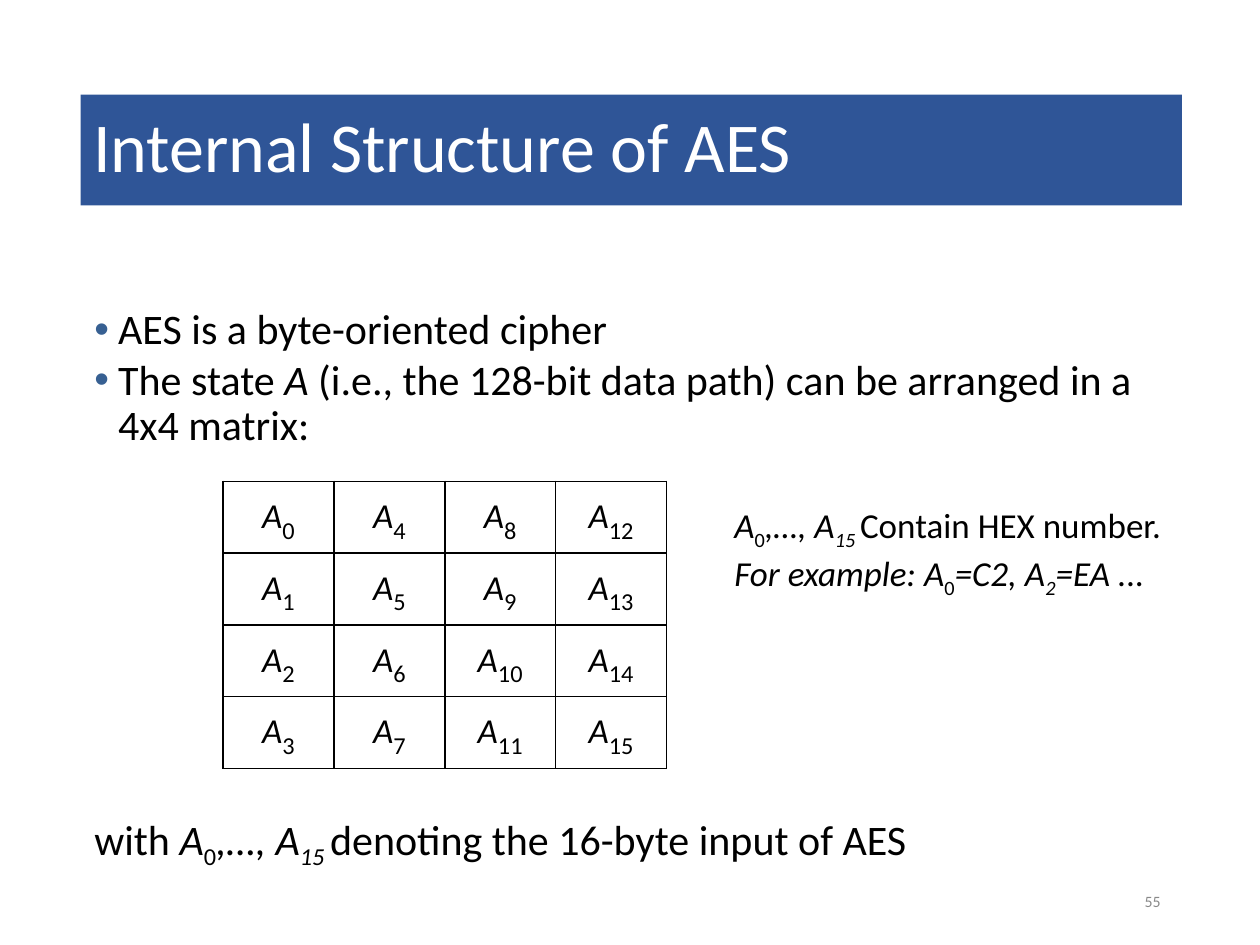
import pptx
import pptx.util
import pptx.dml.color
import pptx.enum.shapes
import pptx.enum.text
import pptx.oxml.ns
from lxml import etree

RGBColor = pptx.dml.color.RGBColor
ALIGN = pptx.enum.text.PP_ALIGN
ANCHOR = pptx.enum.text.MSO_ANCHOR
BAND_BLUE = RGBColor(0x2F, 0x55, 0x97)
BULLET_BLUE = RGBColor(0x37, 0x60, 0x92)
WHITE = RGBColor(0xFF, 0xFF, 0xFF)
BLACK = RGBColor(0, 0, 0)
GREY = RGBColor(0x89, 0x89, 0x89)
FONT = "Calibri"

# The slide is a grid of 100 columns by 75 rows
deck = pptx.Presentation()
deck.slide_width = pptx.util.Inches(10)
deck.slide_height = pptx.util.Inches(7.5)
COLUMN = deck.slide_width / 100
ROW = deck.slide_height / 75


def on_grid(box):
    left, top, width, height = box
    return [int(n * unit) for n, unit in
            ((left, COLUMN), (top, ROW), (width, COLUMN), (height, ROW))]


def sub_element(parent, tag, **attributes):
    return etree.SubElement(parent, pptx.oxml.ns.qn(tag), attributes)


def add_runs(paragraph, runs, size, color=BLACK):
    """Each run is (text, marks): i is italic, s is subscript."""
    for text, marks in runs:
        run = paragraph.add_run()
        run.text = text
        run.font.name = FONT
        run.font.size = pptx.util.Pt(size)
        run.font.color.rgb = color
        run.font.italic = "i" in marks
        if "s" in marks:
            run._r.get_or_add_rPr().set("baseline", "-25000")


def add_bullet(paragraph):
    properties = paragraph._p.get_or_add_pPr()
    indent = pptx.util.Inches(0.19)
    properties.set("marL", str(indent))
    properties.set("indent", str(-indent))
    bullet_color = sub_element(properties, "a:buClr")
    sub_element(bullet_color, "a:srgbClr", val=str(BULLET_BLUE))
    sub_element(properties, "a:buFont", typeface="Arial")
    sub_element(properties, "a:buChar", char="•")


def add_text(slide, box, paragraphs, size, color=BLACK, bulleted=False,
             spacing=None, gap=0, align=ALIGN.LEFT, anchor=ANCHOR.TOP):
    frame = slide.shapes.add_textbox(*on_grid(box)).text_frame
    frame.word_wrap = True
    frame.vertical_anchor = anchor
    for number, runs in enumerate(paragraphs):
        paragraph = frame.add_paragraph() if number else frame.paragraphs[0]
        if bulleted:
            add_bullet(paragraph)
        paragraph.alignment = align
        if spacing:
            paragraph.line_spacing = spacing
        if number and gap:
            paragraph.space_before = pptx.util.Pt(gap)
        add_runs(paragraph, runs, size, color)


def add_title_band(slide, box, title):
    band = slide.shapes.add_shape(
        pptx.enum.shapes.MSO_SHAPE.RECTANGLE, *on_grid(box))
    band.shadow.inherit = False
    band.fill.solid()
    band.fill.fore_color.rgb = BAND_BLUE
    band.line.fill.background()
    band.text_frame.word_wrap = True
    band.text_frame.vertical_anchor = ANCHOR.MIDDLE
    heading = band.text_frame.paragraphs[0]
    heading.alignment = ALIGN.LEFT
    heading.line_spacing = 0.9
    add_runs(heading, [(title, "")], 40, WHITE)


def add_borders(cell):
    properties = cell._tc.get_or_add_tcPr()
    for place, side in enumerate(("a:lnL", "a:lnR", "a:lnT", "a:lnB")):
        border = sub_element(properties, side, w=str(pptx.util.Pt(1)))
        fill = sub_element(border, "a:solidFill")
        sub_element(fill, "a:srgbClr", val=str(BLACK))
        properties.insert(place, border)


def add_state_matrix(slide, box, order=4):
    """The state bytes run down the columns."""
    matrix = slide.shapes.add_table(order, order, *on_grid(box)).table
    matrix.first_row = matrix.horz_banding = False
    for column in range(order):
        for row in range(order):
            cell = matrix.cell(row, column)
            cell.fill.background()
            add_borders(cell)
            cell.vertical_anchor = ANCHOR.MIDDLE
            entry = cell.text_frame.paragraphs[0]
            entry.alignment = ALIGN.CENTER
            add_runs(entry, [("A", "i")], 20)
            add_runs(entry, [(str(order * column + row), "s")], 24)


def add_aes_slide():
    slide = deck.slides.add_slide(deck.slide_layouts[6])
    state_bytes = [("A", "i"), ("0", "s"), (",…, A", "i"), ("15 ", "is")]

    add_title_band(slide, (6.4, 7.5, 87.4, 8.8), "Internal Structure of AES")

    # Bullets above the matrix
    add_text(slide, (6.5, 24, 87.4, 13), [
        [("AES is a byte-oriented cipher", "")],
        [("The state ", ""), ("A", "i"),
         (" (i.e., the 128-bit data path) can be arranged in a 4x4 matrix:", "")],
    ], 24, bulleted=True, spacing=0.9, gap=3)

    # Matrix with its note on the right
    add_state_matrix(slide, (17.7, 38.2, 35.2, 22.8))
    add_text(slide, (57.3, 39.5, 40, 11.1), [
        state_bytes + [("Contain HEX number.", "")],
        [("For example: A", "i"), ("0", "s"), ("=C2, A", "i"), ("2", "is"),
         ("=EA ...", "i")],
    ], 20)

    # Closing line and page number
    add_text(slide, (6.5, 64.1, 87.4, 5), [
        [("with ", "")] + state_bytes + [("denoting the 16-byte input of AES", "")],
    ], 24, spacing=0.9)
    add_text(slide, (70.6, 69.5, 22.5, 4), [[("55", "")]], 9, GREY,
             align=ALIGN.RIGHT, anchor=ANCHOR.MIDDLE)


if __name__ == "__main__":
    add_aes_slide()
    deck.save("out.pptx")
